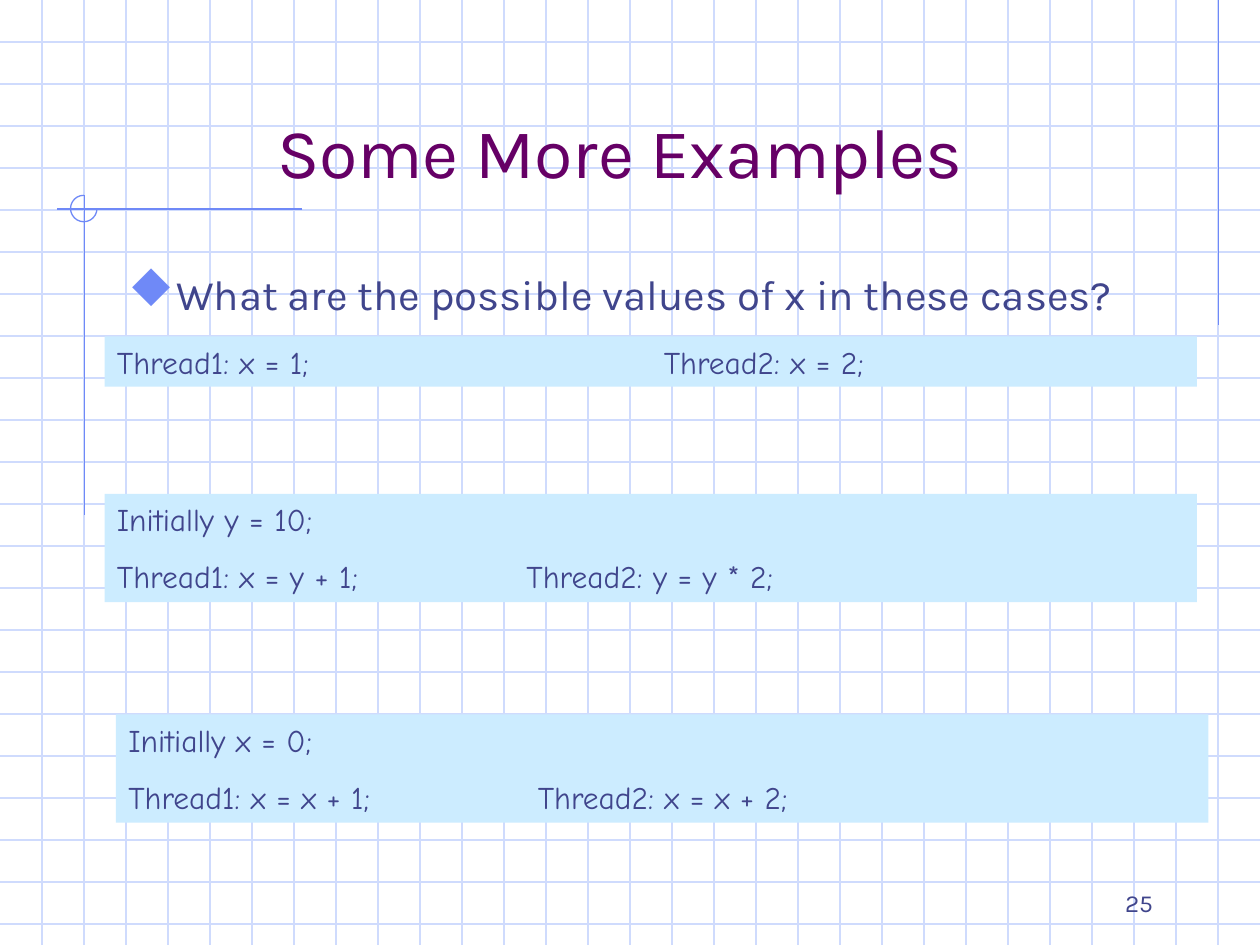
from lxml import etree
from pptx import Presentation
from pptx.dml.color import RGBColor
from pptx.enum.shapes import MSO_CONNECTOR, MSO_SHAPE
from pptx.enum.text import MSO_ANCHOR, PP_ALIGN
from pptx.oxml.ns import qn
from pptx.util import Inches, Pt

STRAIGHT = MSO_CONNECTOR.STRAIGHT
TOP, BOTTOM = MSO_ANCHOR.TOP, MSO_ANCHOR.BOTTOM
LEFT, CENTER, RIGHT = PP_ALIGN.LEFT, PP_ALIGN.CENTER, PP_ALIGN.RIGHT

GRID = RGBColor(0xCF, 0xDB, 0xFD)
ACCENT = RGBColor(0x6F, 0x89, 0xF7)
PLUM = RGBColor(0x66, 0x00, 0x66)
INK = RGBColor(0x40, 0x45, 0x8C)
PALE = RGBColor(0xCC, 0xEC, 0xFF)

TITLE = "Some More Examples"
QUESTION = "What are the possible values of x in these cases?"
PAGE = "25"
# left, top, height, tab stop, lines
CASES = [
    (0.83, 2.67, 0.4, 4.34, ["Thread1: x = 1;\tThread2: x = 2;"]),
    (0.83, 3.92, 0.86, 3.25,
     ["Initially y = 10;", "Thread1: x = y + 1;\tThread2: y = y * 2;"]),
    (0.92, 5.67, 0.86, 3.25,
     ["Initially x = 0;", "Thread1: x = x + 1;\tThread2: x = x + 2;"]),
]
CASE_WIDTH = 8.67

WIDTH, HEIGHT = 10, 7.5
CELLS_PER_INCH = 3
RULES = [
    ((9.67, 0), (9.67, 2.58)),
    ((2.4, 1.66), (0.45, 1.66)),
    ((0.67, 1.55), (0.67, 4.09)),
]

prs = Presentation()
prs.slide_width, prs.slide_height = Inches(WIDTH), Inches(HEIGHT)
slide = prs.slides.add_slide(prs.slide_layouts[6])
shapes = slide.shapes


def add_line(start, end, color):
    line = shapes.add_connector(STRAIGHT, *map(Inches, (*start, *end)))
    line.line.color.rgb = color
    line.line.width = Pt(0.75)
    etree.SubElement(line._element.spPr, qn("a:effectLst"))


def add_diamond_bullet(p, color, percent, indent):
    """Bullet with the letter u of Wingdings, which is a solid diamond."""
    pPr = p._p.get_or_add_pPr()
    pPr.set("marL", str(Inches(indent)))
    pPr.set("indent", str(-Inches(indent)))
    clr = etree.SubElement(pPr, qn("a:buClr"))
    etree.SubElement(clr, qn("a:srgbClr"), val=str(color))
    etree.SubElement(pPr, qn("a:buSzPct"), val=str(percent * 1000))
    etree.SubElement(pPr, qn("a:buFont"), typeface="Wingdings", charset="2")
    etree.SubElement(pPr, qn("a:buChar"), char="u")


def add_tab(p, position):
    tabs = etree.SubElement(p._p.get_or_add_pPr(), qn("a:tabLst"))
    etree.SubElement(tabs, qn("a:tab"), pos=str(Inches(position)), algn="l")


def add_text(lines, box, *, size, font="Karla", color=INK, align=LEFT,
             anchor=TOP, fill=None, tab=None, before=0, bullet=None):
    box = [Inches(v) for v in box]
    if fill is None:
        sp = shapes.add_textbox(*box)
    else:
        sp = shapes.add_shape(MSO_SHAPE.RECTANGLE, *box)
        sp.shadow.inherit = False
        sp.fill.solid()
        sp.fill.fore_color.rgb = fill
        sp.line.fill.background()
    tf = sp.text_frame
    tf.word_wrap = True
    tf.vertical_anchor = anchor
    for i, text in enumerate(lines):
        p = tf.paragraphs[0] if i == 0 else tf.add_paragraph()
        if bullet:
            add_diamond_bullet(p, *bullet)
        if tab and "\t" in text:
            add_tab(p, tab)
        p.alignment = align
        if i:
            p.space_before = Pt(before)
        r = p.add_run()
        r.text = text
        r.font.name, r.font.size = font, Pt(size)
        r.font.color.rgb = color


for row in range(1, int(HEIGHT * CELLS_PER_INCH) + 1):
    y = row / CELLS_PER_INCH
    add_line((0, y), (WIDTH, y), GRID)
for col in range(1, WIDTH * CELLS_PER_INCH):
    x = col / CELLS_PER_INCH
    add_line((x, 0), (x, HEIGHT), GRID)
for start, end in RULES:
    add_line(start, end, ACCENT)

# Three-quarter circle, clockwise from the right to the top
arc = shapes.add_shape(MSO_SHAPE.ARC, *map(Inches, (0.56, 1.55, 0.21, 0.21)))
arc.adjustments[0], arc.adjustments[1] = 0, 162
arc.shadow.inherit = False
arc.fill.background()
arc.line.color.rgb = ACCENT
arc.line.width = Pt(0.75)

add_text([TITLE], (0.67, 0.33, 8.5, 1.25), size=40, color=PLUM,
         align=CENTER, anchor=BOTTOM)
add_text([QUESTION], (0.92, 2.08, 8.5, 0.94), size=24,
         bullet=(ACCENT, 110, 0.38))
for left, top, height, tab, lines in CASES:
    add_text(lines, (left, top, CASE_WIDTH, height), size=18,
             font="Comic Neue", fill=PALE, tab=tab, before=11.2)
add_text([PAGE], (7.17, 6.83, 2.08, 0.5), size=14, align=RIGHT, anchor=BOTTOM)

prs.save("out.pptx")
